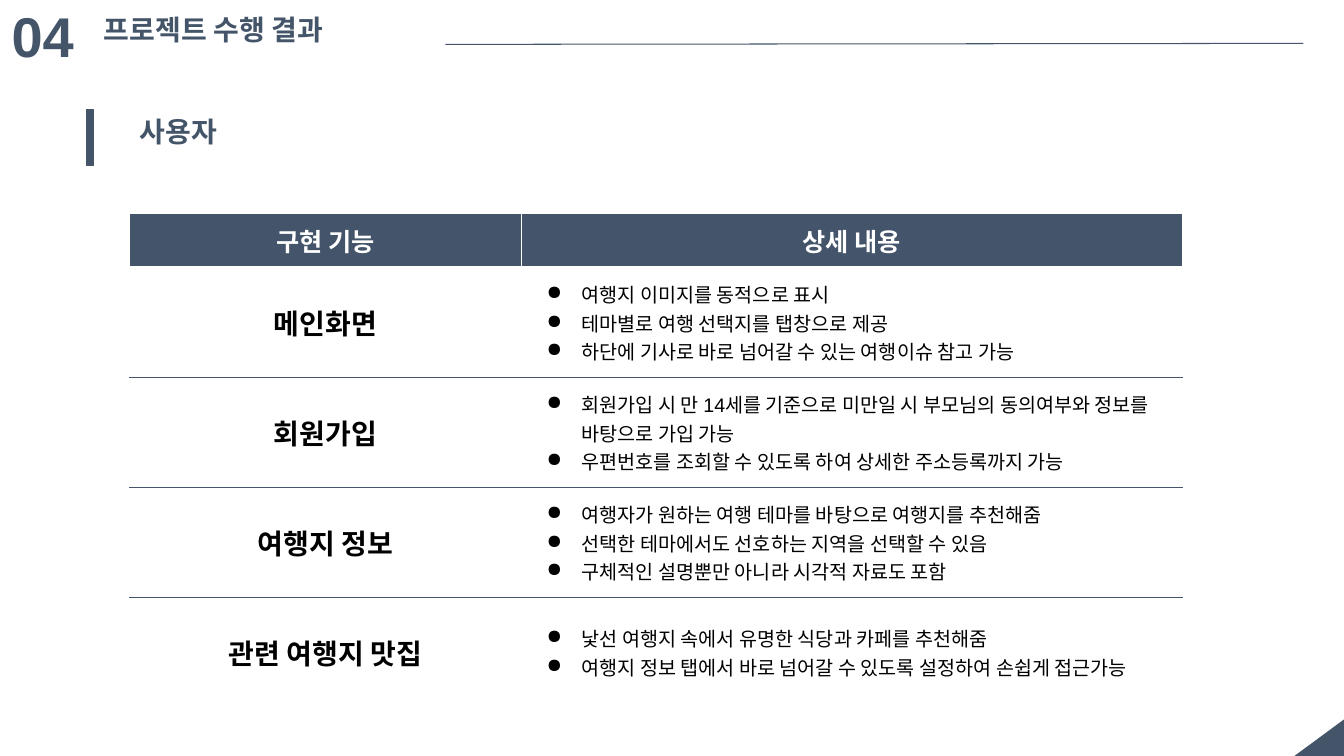
"""Build the slide that lists the user-facing features of the travel project."""
from dataclasses import dataclass

from lxml.etree import SubElement
from pptx import Presentation
from pptx.dml.color import RGBColor
from pptx.enum.shapes import MSO_CONNECTOR, MSO_SHAPE
from pptx.enum.text import MSO_ANCHOR as Anchor, MSO_AUTO_SIZE as AutoSize, PP_ALIGN as Align
from pptx.oxml.ns import qn
from pptx.util import Pt


@dataclass(frozen=True)
class Theme:
    """Colours, fonts and type sizes of the slide."""
    navy: str = "445569"
    table_navy: str = "44546A"
    white: str = "FFFFFF"
    black: str = "000000"
    heading_font: str = "Calibri"
    body_font: str = "Arial"
    number_size: int = 40
    heading_size: int = 20
    header_size: int = 18
    body_size: int = 14


THEME = Theme()
HEADERS = ("구현 기능", "상세 내용")
FEATURES = (
    ("메인화면", (
        "여행지 이미지를 동적으로 표시",
        "테마별로 여행 선택지를 탭창으로 제공",
        "하단에 기사로 바로 넘어갈 수 있는 여행이슈 참고 가능")),
    ("회원가입", (
        "회원가입 시 만 14세를 기준으로 미만일 시 부모님의 동의여부와 정보를 바탕으로 가입 가능",
        "우편번호를 조회할 수 있도록 하여 상세한 주소등록까지 가능")),
    ("여행지 정보", (
        "여행자가 원하는 여행 테마를 바탕으로 여행지를 추천해줌",
        "선택한 테마에서도 선호하는 지역을 선택할 수 있음",
        "구체적인 설명뿐만 아니라 시각적 자료도 포함")),
    ("관련 여행지 맛집", (
        "낯선 여행지 속에서 유명한 식당과 카페를 추천해줌",
        "여행지 정보 탭에서 바로 넘어갈 수 있도록 설정하여 손쉽게 접근가능")),
)


def write_text(para, text, *, size, color, font=THEME.body_font, bold=True, align=Align.LEFT):
    """Add one formatted run to a paragraph."""
    para.alignment = align
    span = para.add_run()
    span.text = text
    span.font.name = font
    span.font.size = Pt(size)
    span.font.bold = bold
    span.font.color.rgb = RGBColor.from_string(color)


def add_color(parent, color):
    """Append an RGB colour element to an XML parent."""
    SubElement(parent, qn("a:srgbClr"), val=color)


def add_bullet(para):
    """Give a paragraph a hanging round bullet."""
    props = para._p.get_or_add_pPr()
    props.set("marL", str(Pt(36)))
    props.set("indent", str(Pt(-25)))
    add_color(SubElement(props, qn("a:buClr")), THEME.black)
    SubElement(props, qn("a:buChar"), char="●")


def fill_frame(box, text, **style):
    """Put a single heading at the top left of a text box or placeholder."""
    frame = box.text_frame
    frame.word_wrap = True
    frame.auto_size = AutoSize.NONE
    frame.vertical_anchor = Anchor.TOP
    write_text(frame.paragraphs[0], text, color=THEME.navy, **style)


def add_heading(page, text, left, top, width, height, **style):
    """Add a text box that holds one heading."""
    box = page.shapes.add_textbox(Pt(left), Pt(top), Pt(width), Pt(height))
    fill_frame(box, text, **style)


def add_title(page, text, left, top, width, height):
    """Move and format the title placeholder."""
    title = page.shapes.title
    title.left, title.top, title.width, title.height = map(Pt, (left, top, width, height))
    fill_frame(title, text, size=THEME.heading_size, font=THEME.heading_font)


def add_block(page, kind, left, top, width, height, rotation=0):
    """Add a plain navy shape."""
    block = page.shapes.add_shape(kind, Pt(left), Pt(top), Pt(width), Pt(height))
    block.shadow.inherit = False
    block.rotation = rotation
    block.fill.solid()
    block.fill.fore_color.rgb = RGBColor.from_string(THEME.navy)
    block.line.fill.background()
    return block


def add_rule(page, left, top, right, bottom):
    """Add a thin navy line without a shadow."""
    rule = page.shapes.add_connector(
        MSO_CONNECTOR.STRAIGHT, Pt(left), Pt(top), Pt(right), Pt(bottom))
    rule.line.color.rgb = RGBColor.from_string(THEME.navy)
    rule.line.width = Pt(0.75)
    SubElement(rule._element.spPr, qn("a:effectLst"))


def style_cell(cell, fill, top, bottom, bottom_width=1):
    """Set fill, anchor and borders of a table cell."""
    cell.vertical_anchor = Anchor.MIDDLE
    props = cell._tc.get_or_add_tcPr()
    borders = (("L", THEME.white, 1), ("R", THEME.white, 1),
               ("T", top, 1), ("B", bottom, bottom_width))
    for side, color, width in borders:
        line = SubElement(props, qn(f"a:ln{side}"), w=str(Pt(width)))
        add_color(SubElement(line, qn("a:solidFill")), color)
    cell.fill.solid()
    cell.fill.fore_color.rgb = RGBColor.from_string(fill)


def write_details(cell, details):
    """Write the bulleted details of one feature."""
    frame = cell.text_frame
    for index, detail in enumerate(details):
        para = frame.add_paragraph() if index else frame.paragraphs[0]
        add_bullet(para)
        write_text(para, detail, size=THEME.body_size, color=THEME.black, bold=False)


def add_feature_table(page, left, top, widths, header_height, row_height):
    """Add the table of features and their details."""
    heights = [header_height] + [row_height] * len(FEATURES)
    table = page.shapes.add_table(len(heights), len(widths), Pt(left), Pt(top),
                                  Pt(sum(widths)), Pt(sum(heights))).table
    table.first_row = table.horz_banding = False
    for column, width in zip(table.columns, widths):
        column.width = Pt(width)
    for row, height in zip(table.rows, heights):
        row.height = Pt(height)
    for cell, header in zip(table.rows[0].cells, HEADERS):
        style_cell(cell, THEME.table_navy, THEME.white, THEME.white, bottom_width=3)
        write_text(cell.text_frame.paragraphs[0], header, size=THEME.header_size,
                   color=THEME.white, align=Align.CENTER)
    for number, (feature, details) in enumerate(FEATURES, start=1):
        above = THEME.white if number == 1 else THEME.table_navy
        below = THEME.white if number == len(FEATURES) else THEME.table_navy
        name_cell, detail_cell = table.rows[number].cells
        for cell in (name_cell, detail_cell):
            style_cell(cell, THEME.white, above, below)
        write_text(name_cell.text_frame.paragraphs[0], feature, size=THEME.heading_size,
                   color=THEME.black, align=Align.CENTER)
        write_details(detail_cell, details)


def main():
    """Build and save the deck."""
    deck = Presentation()
    deck.slide_width, deck.slide_height = Pt(960), Pt(540)
    page = deck.slides.add_slide(deck.slide_layouts[5])
    add_block(page, MSO_SHAPE.RIGHT_TRIANGLE, 929, 509, 26.5, 36, rotation=270)
    add_heading(page, "04", 1.2, -2.2, 91.4, 55.4, size=THEME.number_size)
    add_title(page, "프로젝트 수행 결과", 67, 5, 190, 31.5)
    add_rule(page, 318.2, 31.7, 931, 31)
    marker = add_block(page, MSO_SHAPE.RECTANGLE, 62, 78.5, 5, 39.6)
    marker.line.color.rgb = RGBColor.from_string(THEME.navy)
    marker.line.width = Pt(1)
    add_feature_table(page, 92.7, 152.2, (279.6, 472.4), 38.9, 78.6)
    add_heading(page, "사용자", 92.7, 78.5, 265, 31.5,
                size=THEME.heading_size, font=THEME.heading_font)
    deck.save("out.pptx")


if __name__ == "__main__":
    main()
